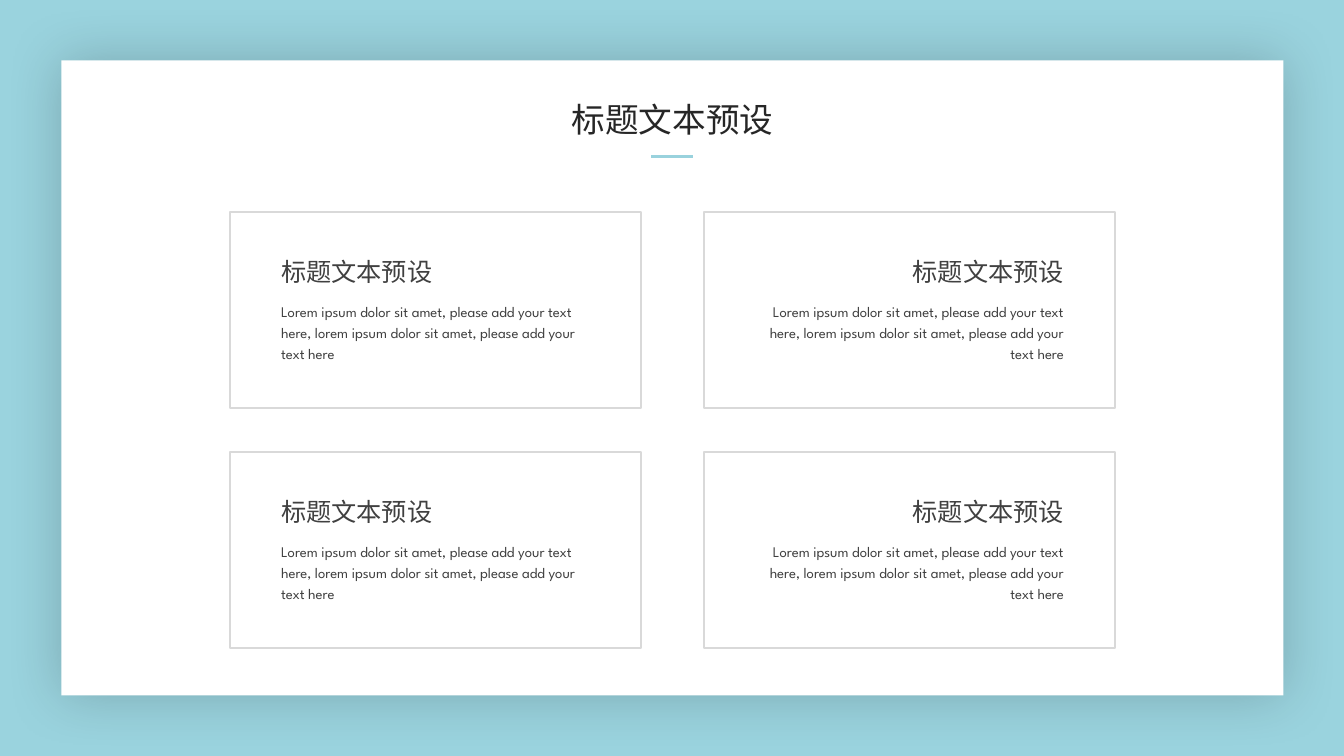
from lxml import etree
from pptx import Presentation
from pptx.dml.color import RGBColor
from pptx.enum import shapes, text
from pptx.oxml import parse_xml
from pptx.oxml.ns import qn
from pptx.util import Inches, Pt

HEADING = "标题文本预设"
BODY = ("Lorem ipsum dolor sit amet, please add your text here, "
        "lorem ipsum dolor sit amet, please add your text here")
SHADOW = """<a:effectLst xmlns:a="http://schemas.openxmlformats.org/drawingml/2006/main">
<a:outerShdw blurRad="508000" dist="0" dir="0" algn="ctr" rotWithShape="0">
<a:srgbClr val="000000"><a:alpha val="20000"/></a:srgbClr></a:outerShdw></a:effectLst>"""


def colour(hex_string):
    return RGBColor.from_string(hex_string)


def box(left, top, width, height):
    return [Inches(length) for length in (left, top, width, height)]


def write(frame, content, size, font_name, ink, align, spacing=None, wrap=True):
    frame.word_wrap = wrap
    frame.auto_size = text.MSO_AUTO_SIZE.SHAPE_TO_FIT_TEXT
    frame.vertical_anchor = text.MSO_ANCHOR.TOP
    frame.text = content
    paragraph = frame.paragraphs[0]
    paragraph.alignment = align
    paragraph.line_spacing = spacing
    paragraph.font.size = Pt(size)
    paragraph.font.name = font_name
    paragraph.font.color.rgb = colour(ink)


def add_panel(slide):
    panel = slide.shapes.add_shape(shapes.MSO_SHAPE.RECTANGLE, *box(0.61, 0.6, 12.12, 6.3))
    panel.fill.solid()
    panel.fill.fore_color.rgb = colour("FFFFFF")
    panel.line.fill.background()
    panel._element.spPr.append(parse_xml(SHADOW))
    slide.shapes.title._element.addprevious(panel._element)


def add_title(slide):
    title = slide.shapes.title
    title.left, title.top, title.width, title.height = box(5.56, 0.93, 2.22, 0.5)
    write(title.text_frame, HEADING, 24, "Noto Sans CJK SC", "262626",
          text.PP_ALIGN.CENTER, wrap=False)
    underline = slide.shapes.add_connector(
        shapes.MSO_CONNECTOR.STRAIGHT, *box(6.46, 1.55, 6.87, 1.55))
    underline.line.color.rgb = colour("99D2DD")
    underline.line.width = Pt(2.25)
    etree.SubElement(underline._element.spPr, qn("a:effectLst"))


def add_card(slide, left, top, align):
    card = slide.shapes.add_group_shape().shapes
    frame = card.add_shape(shapes.MSO_SHAPE.RECTANGLE, *box(left, top, 4.08, 1.95))
    frame.shadow.inherit = False
    frame.fill.background()
    frame.line.color.rgb = colour("D9D9D9")
    frame.line.width = Pt(1.5)
    heading_left = left + (1.7 if align == text.PP_ALIGN.RIGHT else 0.41)
    body = card.add_textbox(*box(left + 0.41, top + 0.82, 3.26, 0.74))
    write(body.text_frame, BODY, 10.5, "League Spartan", "404040", align, spacing=1.2)
    heading = card.add_textbox(*box(heading_left, top + 0.39, 1.97, 0.4))
    write(heading.text_frame, HEADING, 18, "League Spartan", "404040", align)


def main():
    deck = Presentation()
    deck.slide_width, deck.slide_height = Inches(13.33), Inches(7.5)
    slide = deck.slides.add_slide(deck.slide_layouts.get_by_name("Title Only"))
    slide.background.fill.solid()
    slide.background.fill.fore_color.rgb = colour("9AD3DE")
    add_panel(slide)
    for left, align in ((2.28, text.PP_ALIGN.LEFT), (6.98, text.PP_ALIGN.RIGHT)):
        for top in (2.1, 4.48):
            add_card(slide, left, top, align)
    add_title(slide)
    deck.save("out.pptx")


if __name__ == "__main__":
    main()
